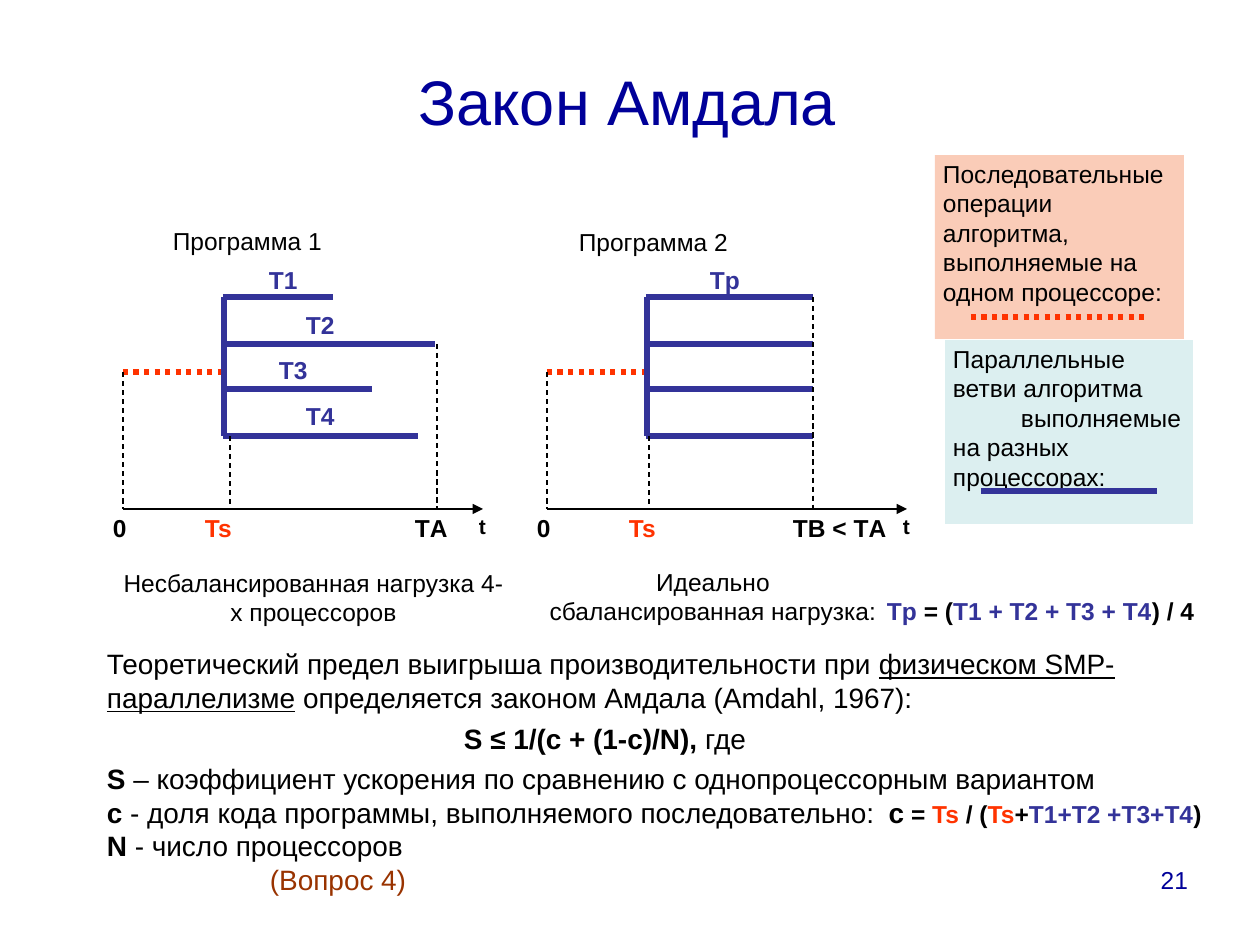
from pptx import Presentation
from pptx.dml.color import RGBColor
from pptx.enum.dml import MSO_LINE_DASH_STYLE as Dash
from pptx.enum.shapes import MSO_CONNECTOR, MSO_SHAPE
from pptx.enum.text import MSO_ANCHOR as Anchor, PP_ALIGN as Align
from pptx.oxml.ns import qn
from pptx.util import Emu, Pt
from lxml.etree import SubElement

PX = 914400 // 126
COLORS = {
    "title": "000099", "black": "000000", "serial": "FF3300", "parallel": "333399",
    "question": "993300", "serial_box": "FACCB8", "parallel_box": "DCEFF0",
}


class AmdahlSlide:
    font = "Arial"
    tight = (8, 4)
    roomy = (13, 6)

    def __init__(self, deck):
        self.shapes = deck.slides.add_slide(deck.slide_layouts[6]).shapes

    def color(self, name):
        return RGBColor.from_string(COLORS[name])

    def line(self, x1, y1, x2, y2, color="black", width=0.74, dash=None, arrow=False):
        ends = [Emu(v * PX) for v in (x1, y1, x2, y2)]
        connector = self.shapes.add_connector(MSO_CONNECTOR.STRAIGHT, *ends)
        connector.line.color.rgb = self.color(color)
        connector.line.width = Pt(width)
        if dash:
            connector.line.dash_style = dash
        properties = connector._element.spPr
        if arrow:
            SubElement(properties.find(qn("a:ln")), qn("a:tailEnd"), type="triangle")
        SubElement(properties, qn("a:effectLst"))

    def thick(self, x1, y1, x2, y2):
        self.line(x1, y1, x2, y2, "parallel", 3)

    def dotted(self, x1, x2, y):
        self.line(x1, y, x2, y, "serial", 3, Dash.ROUND_DOT)

    def dashed(self, x, y1, y2):
        self.line(x, y1, x, y2, dash=Dash.DASH)

    def text(self, box, paragraphs, size=14, align=Align.LEFT, insets=tight, anchor=Anchor.TOP):
        shape = self.shapes.add_textbox(*[Emu(v * PX) for v in box])
        self.fill_text(shape.text_frame, paragraphs, size, align, insets, anchor)

    def panel(self, box, fill, paragraphs):
        shape = self.shapes.add_shape(MSO_SHAPE.RECTANGLE, *[Emu(v * PX) for v in box])
        shape.shadow.inherit = False
        shape.fill.solid()
        shape.fill.fore_color.rgb = self.color(fill)
        shape.line.fill.background()
        self.fill_text(shape.text_frame, paragraphs, 14, Align.LEFT, self.tight, Anchor.TOP)

    def fill_text(self, frame, paragraphs, size, align, insets, anchor):
        frame.word_wrap = True
        frame.vertical_anchor = anchor
        frame.margin_left = frame.margin_right = Emu(insets[0] * PX)
        frame.margin_top = frame.margin_bottom = Emu(insets[1] * PX)
        for index, (runs, layout) in enumerate(paragraphs):
            paragraph = frame.paragraphs[0] if index == 0 else frame.add_paragraph()
            paragraph.alignment = align
            if "indent" in layout:
                paragraph._p.get_or_add_pPr().set("indent", str(layout["indent"] * PX))
            paragraph.space_before = Pt(layout.get("before", 0))
            paragraph.space_after = Pt(layout.get("after", 0))
            for words, style in runs:
                run = paragraph.add_run()
                run.text = words
                run.font.name = self.font
                run.font.size = Pt(style.get("size", size))
                run.font.bold = style.get("bold", False)
                run.font.underline = style.get("underline", False)
                run.font.color.rgb = self.color(style.get("color", "black"))


def plain(words, **style):
    return [([(words, style)], {})]


def bold(words, color="black", **style):
    return words, {"color": color, "bold": True, **style}


AXIS, SERIAL = 509, 372
BRANCHES = (297, 344, 389, 436)


def timeline(slide, origin, fork, serial_end, branch_ends, finish, finish_top, labels):
    slide.line(origin, AXIS, origin + 360, AXIS, arrow=True)
    slide.dotted(origin, fork, SERIAL)
    for y, end in zip(BRANCHES, branch_ends):
        slide.thick(fork - 1, y, end, y)
    slide.thick(fork, BRANCHES[0], fork, BRANCHES[-1])
    slide.dashed(origin, SERIAL, AXIS)
    slide.dashed(serial_end, BRANCHES[-1], AXIS)
    slide.dashed(finish, finish_top, AXIS)
    marks = [("0", "black", origin - 18, AXIS, 38), ("Ts", "serial", origin + 74, AXIS, 64)]
    for words, color, x, y, width in marks + labels:
        slide.text((x, y, width, 38), [([bold(words, color)], {})])
    slide.text((origin + 348, AXIS, 38, 33), [([bold("t")], {})], 12)


deck = Presentation()
deck.slide_width, deck.slide_height = Emu(1260 * PX), Emu(945 * PX)
slide = AmdahlSlide(deck)

slide.text((10, 6, 1235, 189), plain("Закон Амдала", color="title"), 36,
           Align.CENTER, slide.roomy, Anchor.MIDDLE)

branch_labels = [(f"T{number}", "parallel", x, y, 55) for number, (x, y) in
                 enumerate([(261, 261), (298, 306), (271, 351), (298, 397)], 1)]
timeline(slide, 123, 224, 230, (333, 435, 372, 418), 437, BRANCHES[1],
         branch_labels + [("TА", "black", 407, AXIS, 64)])
timeline(slide, 547, 647, 649, (813,) * 4, 813, BRANCHES[0],
         [("Tр", "parallel", 702, 261, 55), ("TВ < TА", "black", 785, AXIS, 117)])

slide.panel((935, 155, 249, 184), "serial_box", plain(
    "Последовательные операции алгоритма, выполняемые на одном процессоре:"))
slide.panel((945, 340, 248, 184), "parallel_box", [
    ([("Параллельные ветви алгоритма", {})], {}),
    ([("выполняемые на разных процессoрах:", {})], {"indent": 68}),
])
slide.dotted(971, 1147, 317)
slide.thick(981, 491, 1157, 491)

for box, words in [
    ((160, 222, 175, 38), "Программа 1"),
    ((566, 223, 175, 38), "Программа 2"),
    ((538, 563, 350, 67), "Идеально сбалансированная нагрузка:"),
]:
    slide.text(box, plain(words), align=Align.CENTER)
slide.text((105, 562, 417, 116), plain("Несбалансированная нагрузка 4-х процессоров"),
           align=Align.CENTER, insets=slide.roomy)

slide.text((94, 641, 1111, 262), [
    ([("Теоретический предел выигрыша производительности при ", {}),
      ("физичеcком SMP- параллелизме", {"underline": True}),
      (" определяется законом Амдала (Amdahl, 1967):", {})], {}),
    ([bold("S ≤ 1/(с + (1-с)/N), "), ("где", {})], {"indent": 357, "before": 4, "after": 4}),
    ([bold("S"), (" – коэффициент ускорения по сравнению с однопроцессорным вариантом", {})], {}),
    ([bold("с"), (" - доля кода программы, выполняемого последовательно:", {})], {}),
    ([bold("N "), ("- число процессоров", {})], {}),
    ([("(Вопрос 4)", {"color": "question"})], {"indent": 163}),
], 16, insets=slide.roomy)

slide.text((868, 790, 392, 47), [([
    bold(" с", size=16), bold(" = "), bold("Ts ", "serial"), bold("/ ("), bold("Ts", "serial"),
    bold("+"), bold("T1+T2 +T3+T4", "parallel"), bold(")"),
], {"before": 8.8})], insets=slide.roomy)
slide.text((874, 590, 364, 43), [([
    bold("Tр ", "parallel"), bold("= ("), bold("T1 + T2 + T3 + T4", "parallel"), bold(") / 4"),
], {"before": 8.8})], insets=slide.roomy)
slide.text((907, 859, 294, 66), plain("21", color="title"), align=Align.RIGHT, insets=slide.roomy)

deck.save("out.pptx")
